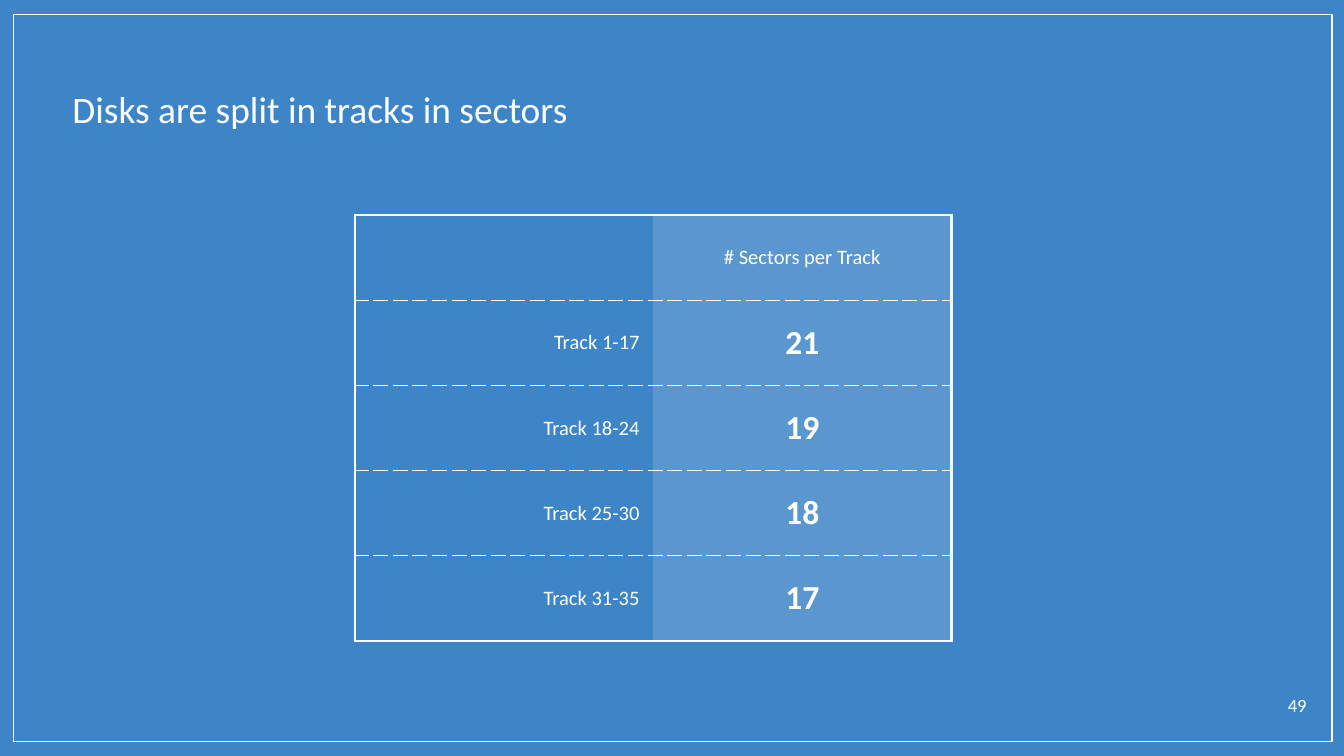
from dataclasses import dataclass

from lxml import etree
from pptx import Presentation
from pptx.dml.color import RGBColor
from pptx.enum.shapes import MSO_SHAPE
from pptx.enum.text import MSO_ANCHOR, PP_ALIGN
from pptx.oxml.ns import qn
from pptx.util import Inches, Pt

RECT = MSO_SHAPE.RECTANGLE
MIDDLE = MSO_ANCHOR.MIDDLE
LEFT, CENTER, RIGHT = PP_ALIGN.LEFT, PP_ALIGN.CENTER, PP_ALIGN.RIGHT


@dataclass(frozen=True)
class Theme:
    back: str = "3D85C6"
    ink: str = "FFFFFF"
    font: str = "Calibri"
    title: float = 20
    label: float = 11
    count: float = 18
    page: float = 10
    tint: int = 15  # percent of ink in the count column
    thin: float = 0.75
    thick: float = 1.5


@dataclass(frozen=True)
class Label:
    text: str
    box: tuple[float, float, float, float]
    size: float
    align: PP_ALIGN = LEFT


@dataclass(frozen=True)
class Zone:
    tracks: str
    sectors: str


@dataclass(frozen=True)
class Edge:
    width: float
    dash: str = "solid"


THEME = Theme()
LABELS = [
    Label("Disks are split in tracks in sectors", (0.44, 0.54, 9, 0.45), THEME.title),
    Label("49", (9.32, 5.08, 0.5, 0.32), THEME.page, RIGHT),
]
ZONES = [
    Zone("", "# Sectors per Track"),
    Zone("Track 1-17", "21"),
    Zone("Track 18-24", "19"),
    Zone("Track 25-30", "18"),
    Zone("Track 31-35", "17"),
]
OUTER = Edge(THEME.thick)
INNER = Edge(THEME.thin, "dash")


def style(para, size: float, align: PP_ALIGN, bold: bool = False) -> None:
    para.alignment = align
    font = para.font
    font.name, font.size, font.bold = THEME.font, Pt(size), bold
    font.color.rgb = RGBColor.from_string(THEME.ink)


def add_label(slide, label: Label) -> None:
    frame = slide.shapes.add_textbox(*map(Inches, label.box)).text_frame
    frame.word_wrap = True
    frame.margin_left = frame.margin_right = Inches(0.1)
    frame.margin_top = frame.margin_bottom = Inches(0.1)
    para = frame.paragraphs[0]
    para.text = label.text
    style(para, label.size, label.align)


def add_frame(slide) -> None:
    box = map(Inches, (0.1, 0.11, 9.81, 5.41))
    frame = slide.shapes.add_shape(RECT, *box)
    frame.shadow.inherit = False
    frame.fill.background()
    frame.line.color.rgb = RGBColor.from_string(THEME.ink)
    frame.line.width = Pt(THEME.thin)


def tint_cell(cell) -> None:
    cell.fill.solid()
    cell.fill.fore_color.rgb = RGBColor.from_string(THEME.ink)
    color = cell._tc.tcPr.find(".//" + qn("a:srgbClr"))
    etree.SubElement(color, qn("a:alpha"), val=str(THEME.tint * 1000))


def set_edges(cell, edges: dict[str, Edge | None]) -> None:
    """Draw edges in the order L, R, T, B, ahead of the cell fill."""
    props = cell._tc.get_or_add_tcPr()
    for spot, (side, edge) in enumerate(edges.items()):
        line = etree.Element(qn("a:ln" + side))
        props.insert(spot, line)
        if edge is None:
            etree.SubElement(line, qn("a:noFill"))
            continue
        line.set("w", str(Pt(edge.width)))
        fill = etree.SubElement(line, qn("a:solidFill"))
        etree.SubElement(fill, qn("a:srgbClr"), val=THEME.ink)
        etree.SubElement(line, qn("a:prstDash"), val=edge.dash)


def add_grid(slide, zones: list[Zone]) -> None:
    last = len(zones) - 1
    box = map(Inches, (2.64, 1.6, 4.44, 3.17))
    table = slide.shapes.add_table(len(zones), 2, *box).table
    table.first_row = table.horz_banding = False
    for row, zone in enumerate(zones):
        for col, text in enumerate((zone.tracks, zone.sectors)):
            cell = table.cell(row, col)
            cell.vertical_anchor = MIDDLE
            cell.margin_left = cell.margin_right = Inches(0.1)
            cell.margin_top = cell.margin_bottom = Inches(0.07)
            para = cell.text_frame.paragraphs[0]
            para.text = text
            count = col == 1 and row > 0
            size = THEME.count if count else THEME.label
            style(para, size, CENTER if col else RIGHT, count)
            if col:
                tint_cell(cell)
            else:
                cell.fill.background()
            set_edges(cell, {
                "L": None if col else OUTER,
                "R": OUTER if col else None,
                "T": INNER if row else OUTER,
                "B": OUTER if row == last else INNER,
            })


def main() -> None:
    deck = Presentation()
    deck.slide_width = Inches(10)
    deck.slide_height = Inches(10) * 9 // 16
    slide = deck.slides.add_slide(deck.slide_layouts[6])

    # Background and border
    back = slide.background.fill
    back.solid()
    back.fore_color.rgb = RGBColor.from_string(THEME.back)
    add_frame(slide)

    # Title, sector table and page number
    title, page = LABELS
    add_label(slide, title)
    add_grid(slide, ZONES)
    add_label(slide, page)

    deck.save("out.pptx")


if __name__ == "__main__":
    main()
